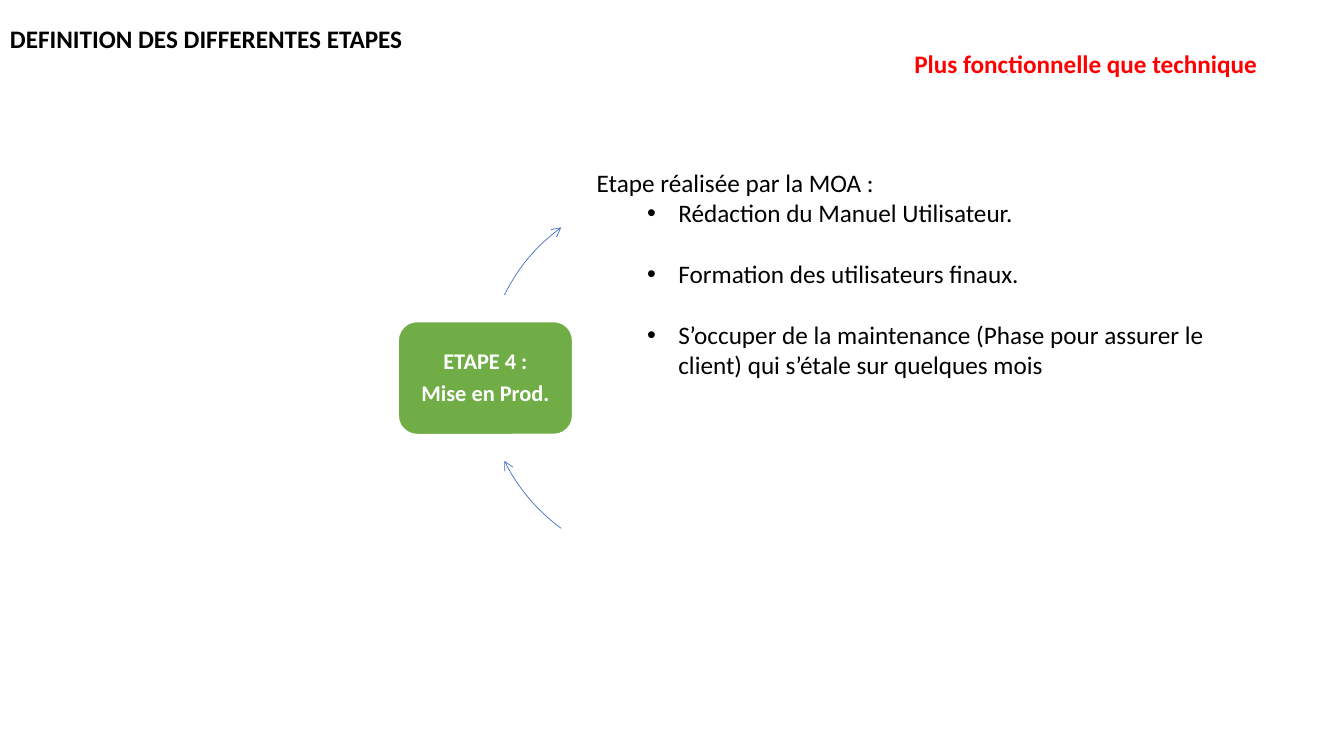
"""Slide on step 4 of the project: going live."""
from lxml import etree
from pptx import Presentation
from pptx.dml.color import RGBColor
from pptx.enum.shapes import MSO_SHAPE as SHAPE
from pptx.enum.text import MSO_ANCHOR as ANCHOR, PP_ALIGN as ALIGN
from pptx.oxml.ns import qn
from pptx.util import Pt

PX = 9144


def rgb(color):
    return RGBColor.from_string(color)


def write(sp, lines, size, color, bold):
    tf = sp.text_frame
    tf.word_wrap = True
    tf.text = "\n".join(lines)
    for p in tf.paragraphs:
        for r in p.runs:
            r.font.name = "Calibri"
            r.font.size = Pt(size)
            r.font.bold = bold
            r.font.color.rgb = rgb(color)
    return tf


prs = Presentation()
prs.slide_width, prs.slide_height = 1333 * PX, 750 * PX
s = prs.slides.add_slide(prs.slide_layouts[6])

for start, end in [(126.2, 153.6), (206.4, 233.8)]:
    arc = s.shapes.add_shape(SHAPE.ARC, 481 * PX, 190 * PX, 370 * PX, 370 * PX)
    arc.adjustments[0] = start * 0.6
    arc.adjustments[1] = end * 0.6
    arc.shadow.inherit = False
    arc.fill.background()
    arc.line.color.rgb = rgb("4472C4")
    arc.line.width = Pt(0.5)
    etree.SubElement(arc.line._get_or_add_ln(), qn("a:tailEnd"), type="arrow")

step = s.shapes.add_shape(SHAPE.ROUNDED_RECTANGLE, 395 * PX, 319 * PX, 173 * PX, 112 * PX)
step.shadow.inherit = False
step.fill.solid()
step.fill.fore_color.rgb = rgb("70AD47")
step.line.color.rgb = rgb("FFFFFF")
step.line.width = Pt(1)
tf = write(step, ["ETAPE 4 :", "Mise en Prod."], 16, "FFFFFF", True)
tf.vertical_anchor = ANCHOR.MIDDLE
tf.margin_left = tf.margin_right = tf.margin_top = tf.margin_bottom = 7 * PX
for p in tf.paragraphs:
    p.alignment = ALIGN.CENTER
    p.line_spacing = 0.9
    p.space_after = Pt(5.6)

texts = [
    (0, 18, 496, 40, ["DEFINITION DES DIFFERENTES ETAPES"], "000000", True),
    (897, 43, 366, 40, ["Plus fonctionnelle que technique"], "FF0000", True),
    (582, 161, 667, 222, [
        "Etape réalisée par la MOA :",
        "Rédaction du Manuel Utilisateur.",
        "Formation des utilisateurs finaux.",
        "S’occuper de la maintenance (Phase pour assurer le client) qui s’étale sur quelques mois",
    ], "000000", False),
]
for x, y, w, h, lines, color, bold in texts:
    box = s.shapes.add_textbox(x * PX, y * PX, w * PX, h * PX)
    tf = write(box, lines, 18, color, bold)
    for i, p in enumerate(tf.paragraphs[1:]):
        p.level = 1
        p.space_before = Pt(22 if i else 0)
        pPr = p._p.get_or_add_pPr()
        pPr.set("marL", str(81 * PX))
        pPr.set("indent", str(-31 * PX))
        etree.SubElement(pPr, qn("a:buFont"), typeface="Arial")
        etree.SubElement(pPr, qn("a:buChar"), char="•")

prs.save("out.pptx")
